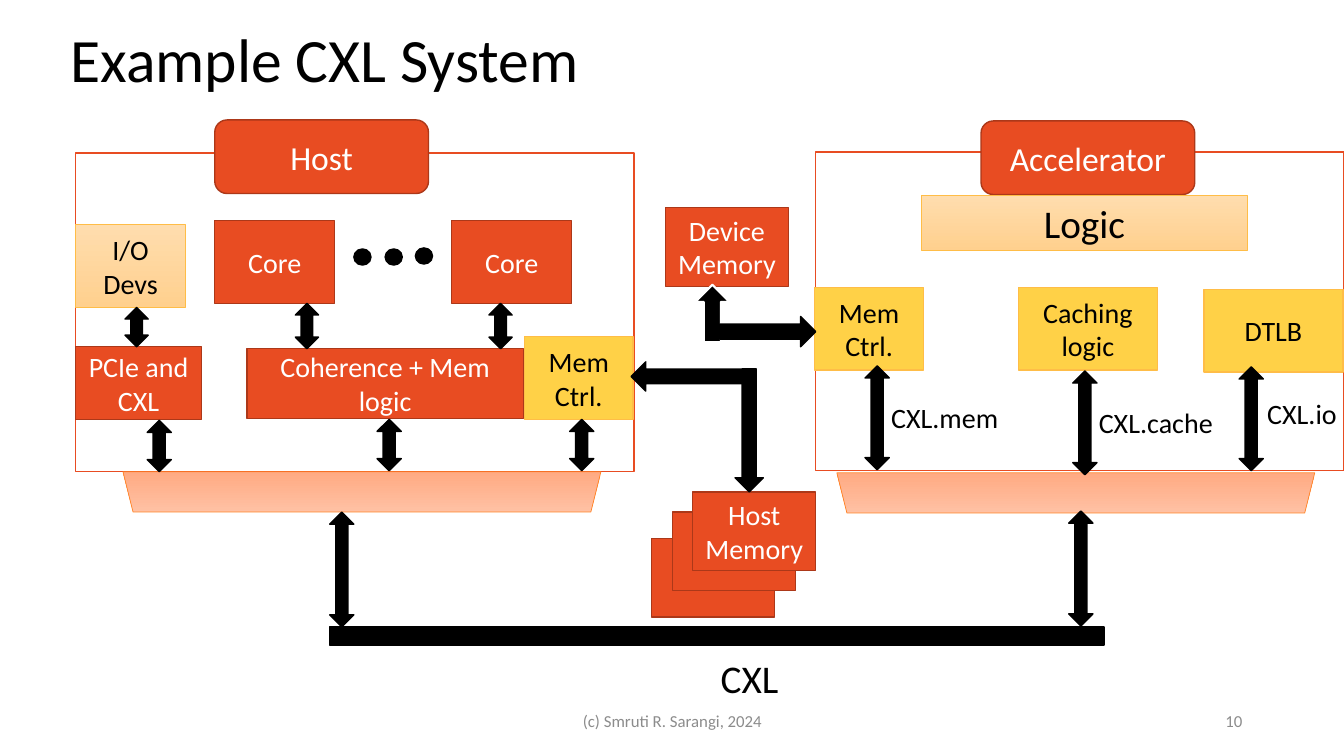
from dataclasses import dataclass

from pptx import Presentation
from pptx.dml.color import RGBColor
from pptx.enum.shapes import MSO_SHAPE
from pptx.enum.text import MSO_ANCHOR, MSO_AUTO_SIZE, PP_ALIGN
from pptx.util import Emu, Pt

RECTANGLE = MSO_SHAPE.RECTANGLE
ROUNDED = MSO_SHAPE.ROUNDED_RECTANGLE
OVAL = MSO_SHAPE.OVAL
TRAPEZOID = MSO_SHAPE.TRAPEZOID
RIGHT_ARROW = MSO_SHAPE.RIGHT_ARROW
UP_DOWN_ARROW = MSO_SHAPE.UP_DOWN_ARROW
LEFT, CENTER, RIGHT = PP_ALIGN.LEFT, PP_ALIGN.CENTER, PP_ALIGN.RIGHT
TOP, MIDDLE = MSO_ANCHOR.TOP, MSO_ANCHOR.MIDDLE
FIT_SHAPE = MSO_AUTO_SIZE.SHAPE_TO_FIT_TEXT
EMU_PER_PX = 9144


@dataclass(frozen=True)
class Style:
    """Fill stops, outline and text colour of one kind of block."""
    fill: tuple
    line: str
    text: str = "000000"
    weight: float = 1


@dataclass(frozen=True)
class Theme:
    """Colours, block styles and type sizes of the slide."""
    font: str = "Calibri"
    ink: str = "000000"
    muted: str = "8C8C8C"
    title: int = 44
    large: int = 28
    heading: int = 24
    body: int = 20
    small: int = 12
    frame: Style = Style(("FFFFFF",), "E84C22")
    red: Style = Style(("E84C22",), "AC3819", "FFFFFF")
    yellow: Style = Style(("FFD147",), "FFBD47")
    cream: Style = Style(("FFDDAE", "FFD08E"), "FFBD47", weight=0.5)
    port: Style = Style(("FFC1A4", "FFAA82"), "FF8427", weight=0.5)
    black: Style = Style(("000000",), "000000")
    outlined: Style = Style(("000000",), "FFFFFF", weight=1.5)


THEME = Theme()


def px(value):
    """Turn whole px into EMU."""
    return Emu(value * EMU_PER_PX)


def write(box, text, size, color, align, anchor):
    """Put one formatted paragraph into a box and return it."""
    box.text_frame.vertical_anchor = anchor
    para = box.text_frame.paragraphs[0]
    para.alignment = align
    span = para.add_run()
    span.text = text
    span.font.name = THEME.font
    span.font.size = Pt(size)
    span.font.color.rgb = RGBColor.from_string(color)
    return para


def add_block(page, place, style, text="", size=THEME.body, kind=RECTANGLE, turn=0):
    """Draw a styled preset shape, with centred text if there is any."""
    box = page.shapes.add_shape(kind, *map(px, place))
    box.shadow.inherit = False
    box.rotation = turn
    if len(style.fill) == 1:
        box.fill.solid()
        box.fill.fore_color.rgb = RGBColor.from_string(style.fill[0])
    else:
        box.fill.gradient()
        box.fill.gradient_angle = 270
        for stop, color in zip(box.fill.gradient_stops, style.fill):
            stop.color.rgb = RGBColor.from_string(color)
    box.line.color.rgb = RGBColor.from_string(style.line)
    box.line.width = Pt(style.weight)
    if text:
        write(box, text, size, style.text, CENTER, MIDDLE)


def add_arrow(page, left, top, height, width=24):
    """Draw a vertical two-headed arrow."""
    add_block(page, (left, top, width, height), THEME.black, kind=UP_DOWN_ARROW)


def add_text(page, place, text, size, color, align=LEFT):
    """Add a wrapping text box, centred vertically, and return its paragraph."""
    box = page.shapes.add_textbox(*map(px, place))
    box.text_frame.word_wrap = True
    return write(box, text, size, color, align, MIDDLE)


def add_label(page, place, text, size=THEME.body):
    """Add a one-line label that fits its text."""
    box = page.shapes.add_textbox(*map(px, place))
    box.text_frame.word_wrap = False
    box.text_frame.auto_size = FIT_SHAPE
    write(box, text, size, THEME.ink, LEFT, TOP)


def add_unit(page, frame, heading, port, name):
    """Draw a unit's frame, its heading and the port below it."""
    add_block(page, frame, THEME.frame)
    add_block(page, heading, THEME.red, name, THEME.heading, ROUNDED)
    add_block(page, port, THEME.port, kind=TRAPEZOID, turn=180)


def draw_host(page):
    """Draw the host with its cores, devices and controllers."""
    add_unit(page, (75, 152, 554, 316), (213, 119, 212, 73), (122, 468, 474, 40), "Host")
    add_block(page, (75, 223, 109, 82), THEME.cream, "I/O Devs")
    for left in (213, 448):
        add_block(page, (left, 219, 119, 82), THEME.red, "Core")
    for left, top in ((351, 247), (382, 247), (412, 246)):
        add_block(page, (left, top, 17, 16), THEME.black, kind=OVAL)
    add_block(page, (245, 346, 274, 69), THEME.red, "Coherence + Mem logic")
    add_block(page, (520, 334, 108, 82), THEME.yellow, "Mem Ctrl.")
    add_block(page, (75, 344, 125, 72), THEME.red, "PCIe and CXL")
    for left, top, height in ((124, 305, 39), (293, 301, 45), (485, 301, 45)):
        add_arrow(page, left, top, height, 23)
    for left, top in ((146, 417), (374, 416), (565, 416)):
        add_arrow(page, left, top, 51)


def draw_accelerator(page):
    """Draw the accelerator with its logic and the three CXL protocols."""
    add_unit(page, (809, 151, 524, 316), (973, 120, 212, 73), (830, 469, 474, 40), "Accelerator")
    add_block(page, (914, 194, 323, 54), THEME.cream, "Logic", THEME.large)
    for place, text in (
        ((808, 285, 108, 82), "Mem Ctrl."),
        ((1010, 285, 138, 82), "Caching logic"),
        ((1194, 287, 138, 82), "DTLB"),
    ):
        add_block(page, place, THEME.yellow, text)
    for left, top, place, text in (
        (858, 363, (874, 392, 127, 44), "CXL.mem"),
        (1064, 368, (1080, 397, 134, 44), "CXL.cache"),
        (1229, 364, (1247, 388, 90, 44), "CXL.io"),
    ):
        add_arrow(page, left, top, 103)
        add_label(page, place, text)


def draw_memories(page):
    """Draw the host and device memories with their bent arrows."""
    for left, top, text in ((646, 534, ""), (667, 508, ""), (687, 488, "Host Memory"),
                            (660, 206, "Device Memory")):
        add_block(page, (left, top, 122, 78), THEME.red, text)
    for place, turn, style in (
        ((682, 413, 122, 28), 90, THEME.black),
        ((626, 359, 122, 29), 180, THEME.black),
        ((678, 294, 57, 34), 270, THEME.outlined),
        ((714, 314, 95, 30), 0, THEME.black),
    ):
        add_block(page, place, style, kind=RIGHT_ARROW, turn=turn)


def draw_link(page):
    """Draw the CXL link that joins both ports."""
    for left, top in ((327, 508), (1060, 507)):
        add_arrow(page, left, top, 114)
    add_block(page, (327, 622, 768, 18), THEME.black)
    add_label(page, (705, 644, 78, 57), "CXL", THEME.large)


def main():
    """Build the slide and save it."""
    deck = Presentation()
    deck.slide_width, deck.slide_height = px(1333), px(750)
    page = deck.slides.add_slide(deck.slide_layouts[6])
    title = add_text(page, (60, 15, 1150, 95), "Example CXL System", THEME.title, THEME.ink)
    title.line_spacing = 0.9
    draw_host(page)
    draw_accelerator(page)
    draw_memories(page)
    draw_link(page)
    add_text(page, (442, 695, 450, 40), "(c) Smruti R. Sarangi, 2024", THEME.small, THEME.muted, CENTER)
    add_text(page, (942, 695, 300, 40), "10", THEME.small, THEME.muted, RIGHT)
    deck.save("out.pptx")


if __name__ == "__main__":
    main()
